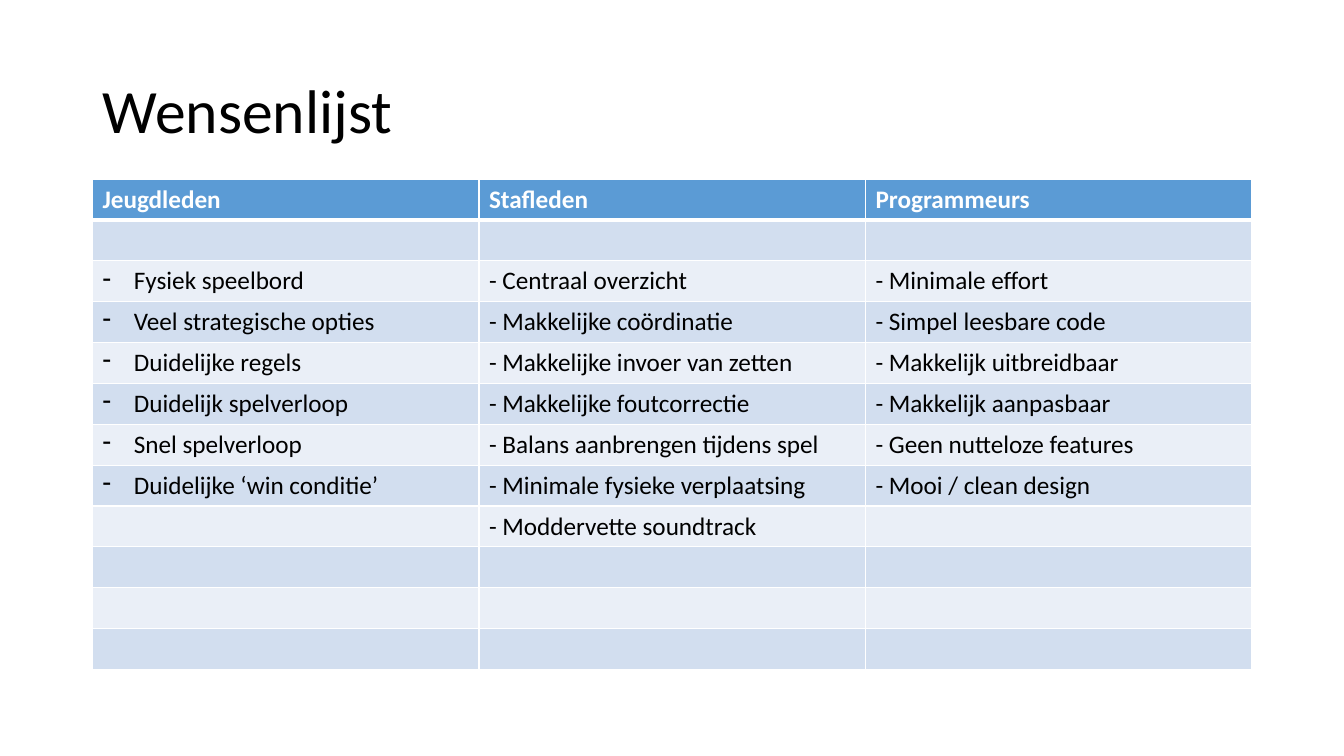
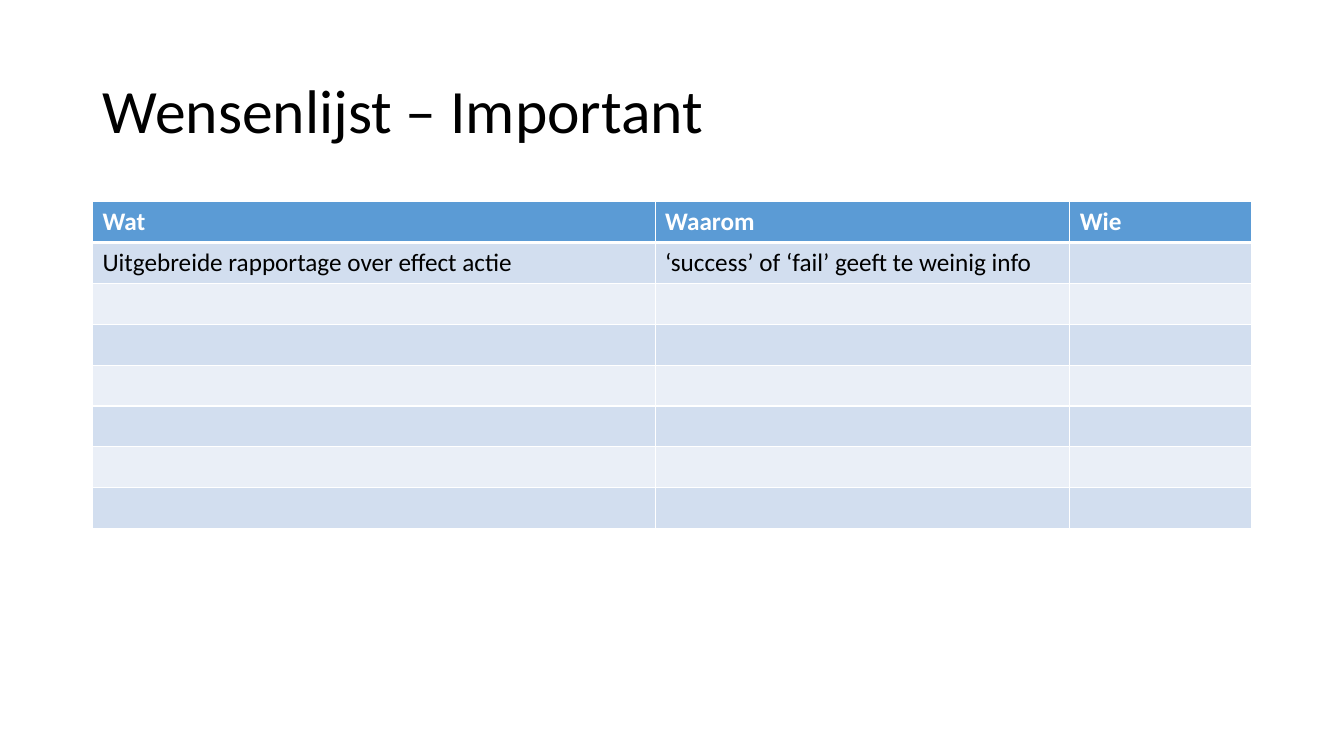
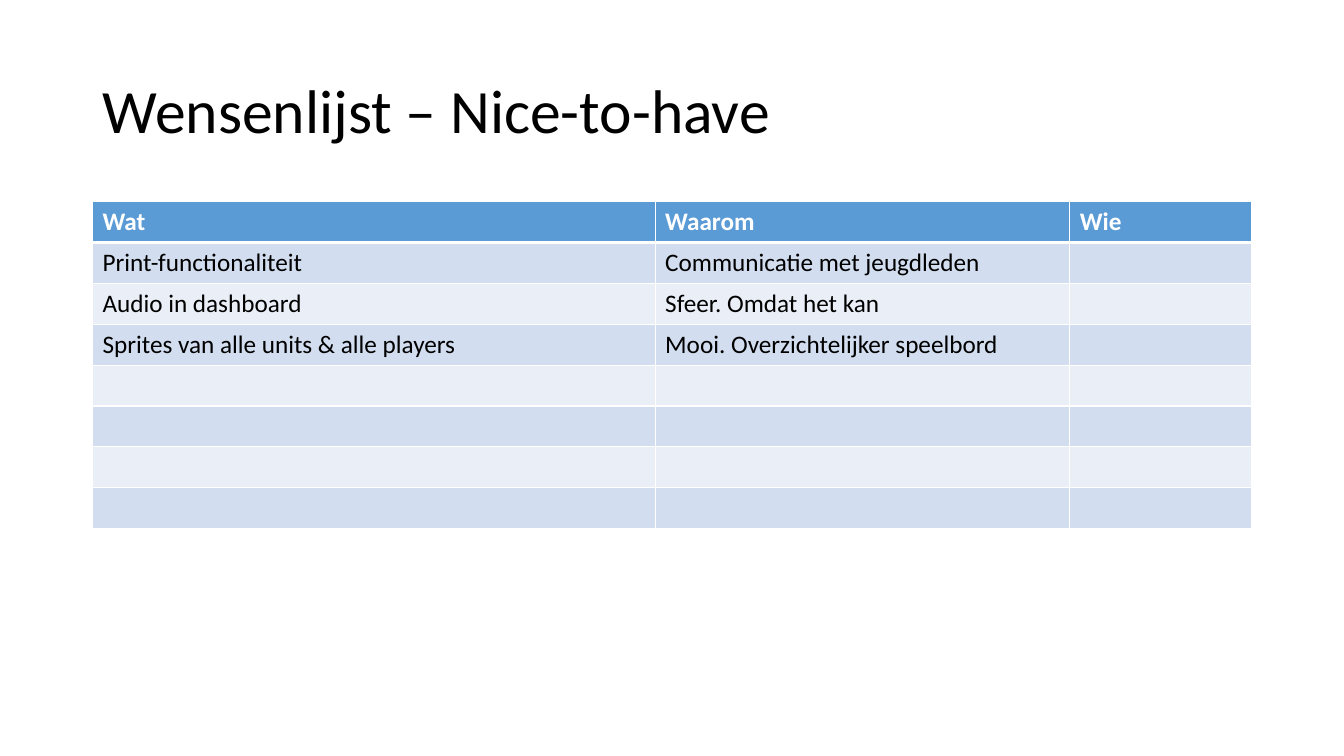
from lxml import etree
from pptx import Presentation
from pptx.dml.color import RGBColor
from pptx.enum.text import MSO_ANCHOR, MSO_AUTO_SIZE, PP_ALIGN
from pptx.oxml.ns import qn
from pptx.util import Cm, Pt

LEFT = PP_ALIGN.LEFT
MIDDLE = MSO_ANCHOR.MIDDLE
NO_AUTOFIT = MSO_AUTO_SIZE.NONE
TITLE_ONLY = 5

BLACK = RGBColor(0x00, 0x00, 0x00)
WHITE = RGBColor(0xFF, 0xFF, 0xFF)
HEADER_BLUE = RGBColor(0x5B, 0x9B, 0xD5)
DARK_BAND = RGBColor(0xD2, 0xDE, 0xEF)
LIGHT_BAND = RGBColor(0xEA, 0xEF, 0xF7)

TITLE_FONT = {"name": "Calibri", "size": Pt(44), "bold": False}
HEADER_FONT = {"name": "Calibri", "size": Pt(18), "bold": True}
BODY_FONT = {"name": "Calibri", "size": Pt(18), "bold": False}

MARGIN = Cm(2.33)
CONTENT_WIDTH = Cm(29.21)
TITLE_BOX = {"left": MARGIN, "top": Cm(1.01), "width": CONTENT_WIDTH, "height": Cm(3.68)}
TITLE_FRAME = {"vertical_anchor": MIDDLE, "auto_size": NO_AUTOFIT, "word_wrap": True}
ROW_HEIGHT = Cm(1.03)
BULLET_INDENT = Cm(0.79)
THIN_LINE, THICK_LINE = Pt(1), Pt(3)

EQUAL_COLUMNS = [9.74, 9.74, 9.73]
WISH_COLUMNS = [14.18, 10.45, 4.58]
WISH_HEADER = ("Wat", "Waarom", "Wie")

SLIDES = [
    {
        "title": "Wensenlijst",
        "top": 4.51,
        "columns": EQUAL_COLUMNS,
        "row_count": 12,
        "bullet_column": 0,
        "rows": [
            ("Jeugdleden", "Stafleden", "Programmeurs"),
            ("", "", ""),
            ("Fysiek speelbord", "- Centraal overzicht", "- Minimale effort"),
            ("Veel strategische opties", "- Makkelijke coördinatie", "- Simpel leesbare code"),
            ("Duidelijke regels", "- Makkelijke invoer van zetten", "- Makkelijk uitbreidbaar"),
            ("Duidelijk spelverloop", "- Makkelijke foutcorrectie", "- Makkelijk aanpasbaar"),
            ("Snel spelverloop", "- Balans aanbrengen tijdens spel", "- Geen nutteloze features"),
            ("Duidelijke ‘win conditie’", "- Minimale fysieke verplaatsing", "- Mooi / clean design"),
            ("", "- Moddervette soundtrack", ""),
        ],
    },
    {
        "title": "Wensenlijst – Important",
        "top": 5.08,
        "columns": WISH_COLUMNS,
        "row_count": 8,
        "bullet_column": None,
        "rows": [
            WISH_HEADER,
            ("Uitgebreide rapportage over effect actie", "‘success’ of ‘fail’ geeft te weinig info", ""),
        ],
    },
    {
        "title": "Wensenlijst – Nice-to-have",
        "top": 5.08,
        "columns": WISH_COLUMNS,
        "row_count": 8,
        "bullet_column": None,
        "rows": [
            WISH_HEADER,
            ("Print-functionaliteit", "Communicatie met jeugdleden", ""),
            ("Audio in dashboard", "Sfeer. Omdat het kan", ""),
            ("Sprites van alle units & alle players", "Mooi. Overzichtelijker speelbord", ""),
        ],
    },
]


def apply_format(target, values):
    for name, value in values.items():
        setattr(target, name, value)


def format_text(paragraph, font_format, color):
    apply_format(paragraph.font, font_format)
    for run in paragraph.runs:
        apply_format(run.font, font_format)
        run.font.color.rgb = color


def add_title(slide, text):
    title = slide.shapes.title
    apply_format(title, TITLE_BOX)
    apply_format(title.text_frame, TITLE_FRAME)
    title.text_frame.text = text
    paragraph = title.text_frame.paragraphs[0]
    apply_format(paragraph, {"alignment": LEFT, "line_spacing": 0.9})
    format_text(paragraph, TITLE_FONT, BLACK)


def set_borders(cell, row_index):
    properties = cell._tc.get_or_add_tcPr()
    widths = {
        "a:lnL": THIN_LINE,
        "a:lnR": THIN_LINE,
        "a:lnT": THICK_LINE if row_index == 1 else THIN_LINE,
        "a:lnB": THICK_LINE if row_index == 0 else THIN_LINE,
    }
    for tag, width in widths.items():
        line = etree.SubElement(properties, qn(tag), w=str(width))
        fill = etree.SubElement(line, qn("a:solidFill"))
        etree.SubElement(fill, qn("a:srgbClr"), val=str(WHITE))


def set_dash_bullet(paragraph):
    properties = paragraph._p.get_or_add_pPr()
    properties.set("marL", str(BULLET_INDENT))
    properties.set("indent", str(-BULLET_INDENT))
    bullet = etree.Element(qn("a:buChar"), char="-")
    properties.insert(0, bullet)


def fill_cell(cell, text, row_index, bulleted):
    is_header = row_index == 0
    band = DARK_BAND if row_index % 2 else LIGHT_BAND
    set_borders(cell, row_index)
    cell.fill.solid()
    cell.fill.fore_color.rgb = HEADER_BLUE if is_header else band
    cell.text = text
    paragraph = cell.text_frame.paragraphs[0]
    format_text(paragraph, HEADER_FONT if is_header else BODY_FONT, WHITE if is_header else BLACK)
    if bulleted and text and not is_header:
        set_dash_bullet(paragraph)


def add_wish_table(slide, content):
    widths = content["columns"]
    row_count = content["row_count"]
    table = slide.shapes.add_table(
        row_count, len(widths), MARGIN, Cm(content["top"]), CONTENT_WIDTH, ROW_HEIGHT * row_count
    ).table
    for column, width in zip(table.columns, widths):
        column.width = Cm(width)
    empty_row = ("",) * len(widths)
    rows = content["rows"] + [empty_row] * (row_count - len(content["rows"]))
    for row_index, texts in enumerate(rows):
        table.rows[row_index].height = ROW_HEIGHT
        for column_index, text in enumerate(texts):
            bulleted = column_index == content["bullet_column"]
            fill_cell(table.cell(row_index, column_index), text, row_index, bulleted)


def main():
    presentation = Presentation()
    apply_format(presentation, {"slide_width": Cm(33.87), "slide_height": Cm(19.05)})
    for content in SLIDES:
        slide = presentation.slides.add_slide(presentation.slide_layouts[TITLE_ONLY])
        add_title(slide, content["title"])
        add_wish_table(slide, content)
    presentation.save("out.pptx")


if __name__ == "__main__":
    main()
